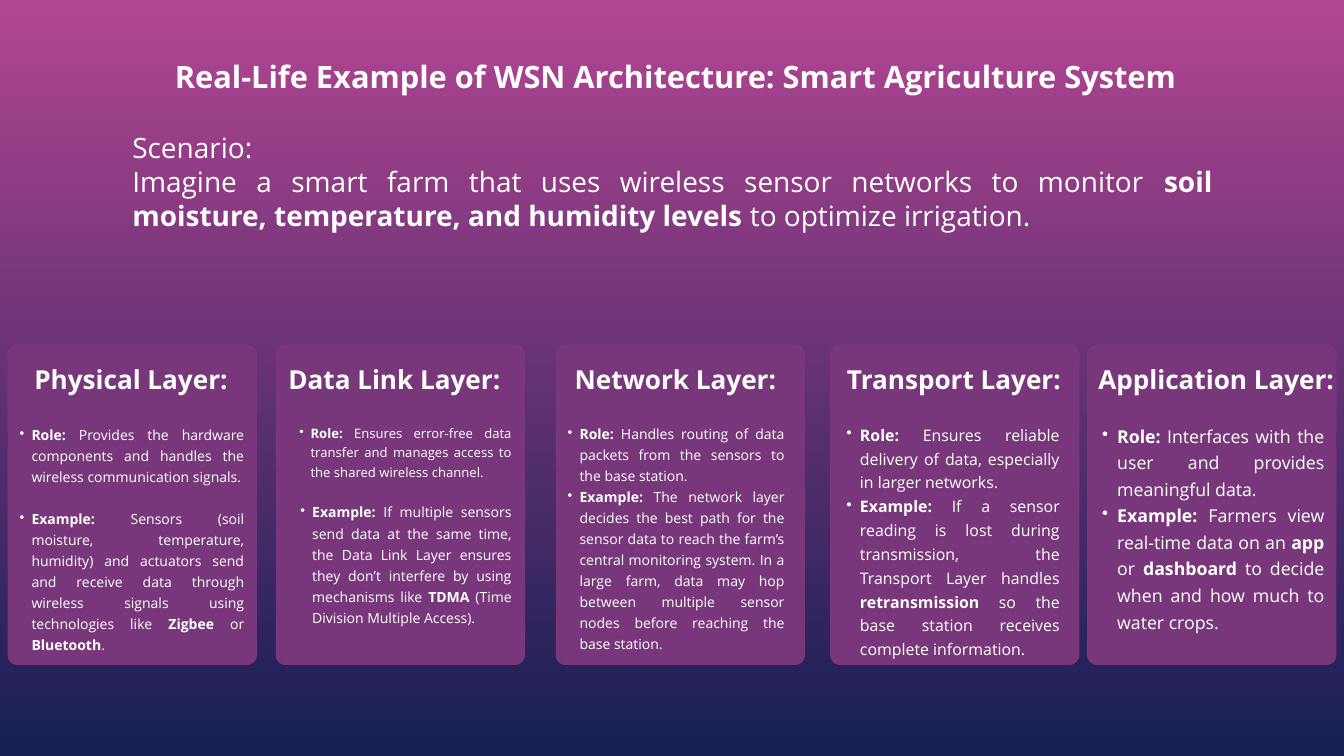
import pptx
import pptx.util
import pptx.dml.color
import pptx.enum.shapes
import pptx.enum.text
import lxml.etree

TITLE = "Real-Life Example of WSN Architecture: Smart Agriculture System"
SCENARIO = [
    "Scenario:",
    "Imagine a smart farm that uses wireless sensor networks to monitor "
    "**soil moisture, temperature, and humidity levels **to optimize irrigation.",
]
LAYERS = [
    {
        "name": "Physical Layer:", "card": 11, "heading": (49, 279), "body": (11, 603, 338, 369),
        "sizes": (15, 15), "gap": 22.5,
        "points": (
            "**Role:** Provides the hardware components and handles the wireless communication signals.",
            "**Example:** Sensors (soil moisture, temperature, humidity) and actuators send and receive "
            "data through wireless signals using technologies like **Zigbee **or **Bluetooth**.",
        ),
    },
    {
        "name": "Data Link Layer:", "card": 394, "heading": (412, 318), "body": (412, 602, 319, 322),
        "sizes": (14, 15), "gap": 21,
        "points": (
            "**Role:** Ensures error-free data transfer and manages access to the shared wireless channel.",
            "**Example:** If multiple sensors send data at the same time, the Data Link Layer ensures they "
            "don’t interfere by using mechanisms like **TDMA** (Time Division Multiple Access).",
        ),
    },
    {
        "name": "Network Layer:", "card": 794, "heading": (821, 301), "body": (794, 602, 327, 369),
        "sizes": (15, 15), "gap": 0,
        "points": (
            "**Role:** Handles routing of data packets from the sensors to the base station.",
            "**Example:** The network layer decides the best path for the sensor data to reach the farm’s "
            "central monitoring system. In a large farm, data may hop between multiple sensor nodes "
            "before reaching the base station.",
        ),
    },
    {
        "name": "Transport Layer:", "card": 1186, "heading": (1210, 331), "body": (1190, 601, 324, 369),
        "sizes": (17, 17), "gap": 0,
        "points": (
            "**Role:** Ensures reliable delivery of data, especially in larger networks.",
            "**Example:** If a sensor reading is lost during transmission, the Transport Layer handles "
            "**retransmission** so the base station receives complete information.",
        ),
    },
    {
        "name": "Application Layer:", "card": 1553, "heading": (1569, 351), "body": (1553, 600, 339, 337),
        "sizes": (19, 19), "gap": 0,
        "points": (
            "**Role:** Interfaces with the user and provides meaningful data.",
            "**Example:** Farmers view real-time data on an **app** or **dashboard** to decide when and "
            "how much to water crops.",
        ),
    },
]

THEME = {
    "font": "Open Sans", "text": "FFFFFF", "card": "79377B", "top": "B34593", "bottom": "151F52",
    "title": 33, "scenario": 30, "heading": 28,
}
PX = 9525
CARD_TOP, CARD_WIDTH, CARD_HEIGHT, CARD_RADIUS = 492, 356, 458, 14
HEADING_TOP, HEADING_HEIGHT = 515, 47
HANG = 0.85
ALIGN = pptx.enum.text.PP_ALIGN


def color(name):
    return pptx.dml.color.RGBColor.from_string(THEME[name])


def place(shape, left, top, width, height):
    shape.left, shape.top, shape.width, shape.height = (v * PX for v in (left, top, width, height))


def prepare_frame(shape):
    frame = shape.text_frame
    frame.word_wrap = True
    frame.auto_size = pptx.enum.text.MSO_AUTO_SIZE.NONE
    frame.vertical_anchor = pptx.enum.text.MSO_ANCHOR.TOP
    frame.margin_left = frame.margin_top = frame.margin_right = frame.margin_bottom = 0
    return frame


def set_bullet(para, hang):
    props = para._p.get_or_add_pPr()
    props.set("marL", str(int(pptx.util.Pt(2 * hang))))
    props.set("indent", str(-int(pptx.util.Pt(hang))))
    bullet = lxml.etree.SubElement(props, pptx.oxml.ns.qn("a:buChar" if hang else "a:buNone"))
    if hang:
        bullet.set("char", "•")


def write(para, text, size, leading, align, hang=0, gap=0):
    set_bullet(para, hang)
    para.alignment = align
    para.line_spacing = pptx.util.Pt(round(size * leading, 1))
    para.space_before = pptx.util.Pt(gap)
    for index, part in enumerate(text.split("**")):
        if part:
            span = para.add_run()
            span.text = part
            span.font.name = THEME["font"]
            span.font.size = pptx.util.Pt(size)
            span.font.bold = index % 2 == 1
            span.font.color.rgb = color("text")


def add_text_box(page, left, top, width, height):
    return prepare_frame(page.shapes.add_textbox(left * PX, top * PX, width * PX, height * PX))


def add_layer(page, layer):
    card = page.shapes.add_shape(pptx.enum.shapes.MSO_SHAPE.ROUNDED_RECTANGLE, 0, 0, 0, 0)
    place(card, layer["card"], CARD_TOP, CARD_WIDTH, CARD_HEIGHT)
    card.adjustments[0] = round(CARD_RADIUS / CARD_WIDTH, 2)
    card.shadow.inherit = False
    card.fill.solid()
    card.fill.fore_color.rgb = color("card")
    card.line.fill.background()

    left, width = layer["heading"]
    heading = add_text_box(page, left, HEADING_TOP, width, HEADING_HEIGHT)
    write(heading.paragraphs[0], f"**{layer['name']}**", THEME["heading"], 1.3, ALIGN.LEFT)

    body = add_text_box(page, *layer["body"])
    for index, (point, size) in enumerate(zip(layer["points"], layer["sizes"])):
        para = body.add_paragraph() if index else body.paragraphs[0]
        write(para, point, size, 1.5, ALIGN.JUSTIFY, size * HANG, layer["gap"] if index else 0)


def main():
    deck = pptx.Presentation()
    deck.slide_width, deck.slide_height = 1920 * PX, 1080 * PX
    page = deck.slides.add_slide(deck.slide_layouts[1])

    backdrop = page.background.fill
    backdrop.gradient()
    backdrop.gradient_angle = 270
    for stop, name in zip(backdrop.gradient_stops, ("top", "bottom")):
        stop.color.rgb = color(name)

    title, scenario = page.placeholders
    place(title, 194, 82, 1543, 53)
    write(prepare_frame(title).paragraphs[0], f"**{TITLE}**", THEME["title"], 1.2, ALIGN.CENTER)

    place(scenario, 189, 187, 1543, 194)
    frame = prepare_frame(scenario)
    for index, text in enumerate(SCENARIO):
        para = frame.add_paragraph() if index else frame.paragraphs[0]
        write(para, text, THEME["scenario"], 1.2, ALIGN.JUSTIFY)

    for layer in LAYERS:
        add_layer(page, layer)
    deck.save("out.pptx")


if __name__ == "__main__":
    main()
